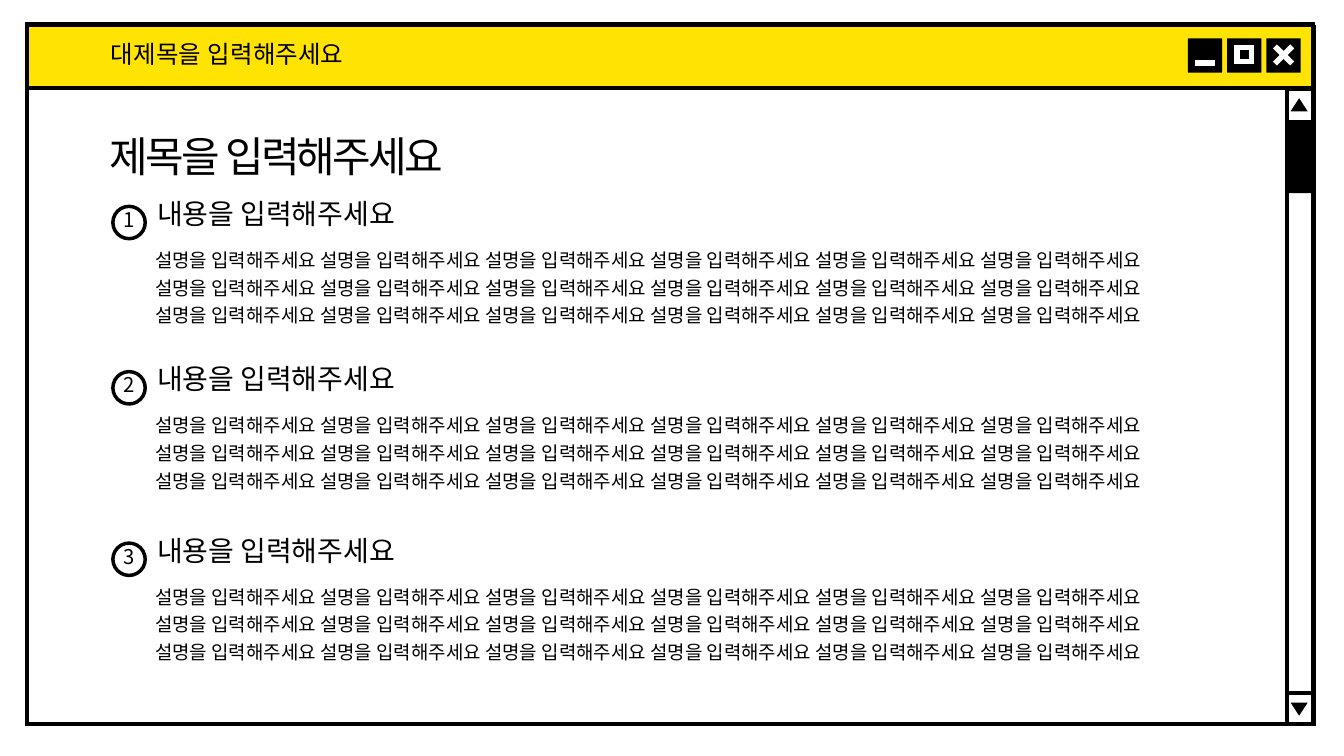
from lxml import etree
from pptx import Presentation
from pptx.dml.color import RGBColor
from pptx.enum import shapes, text
from pptx.oxml.ns import qn
from pptx.util import Cm, Pt

BLACK, WHITE, YELLOW = "000000", "FFFFFF", "FFE302"
SANS = "Noto Sans CJK KR"
RECT, OVAL = shapes.MSO_SHAPE.RECTANGLE, shapes.MSO_SHAPE.OVAL

TRACK_X, TRACK_W = 64.85, 1.37
BUTTON_X, BUTTON_Y, BUTTON_SIZE, BUTTON_STEP = 59.87, 1.93, 1.73, 1.98
ITEM_TOPS = (9.93, 18.26, 26.9)
BODY = [" ".join(["설명을 입력해주세요"] * 6)] * 3


def rgb(color):
    return RGBColor.from_string(color)


def style_line(line, color, width):
    line.color.rgb = rgb(color)
    line.width = Pt(width)


def add_box(slide, kind, x, y, w, h, fill=None, line=None, width=6):
    sp = slide.shapes.add_shape(kind, Cm(x), Cm(y), Cm(w), Cm(h))
    sp.shadow.inherit = False
    if fill:
        sp.fill.solid()
        sp.fill.fore_color.rgb = rgb(fill)
    else:
        sp.fill.background()
    if line:
        style_line(sp.line, line, width)
        # Sharp corners
        ln = sp.line._get_or_add_ln()
        etree.SubElement(ln, qn("a:miter")).set("lim", "800000")
    else:
        sp.line.fill.background()
    return sp


def add_line(slide, x1, y1, x2, y2, color=BLACK, width=6):
    line = slide.shapes.add_connector(
        shapes.MSO_CONNECTOR.STRAIGHT, Cm(x1), Cm(y1), Cm(x2), Cm(y2))
    style_line(line.line, color, width)
    etree.SubElement(line._element.spPr, qn("a:effectLst"))


def add_arrowhead(slide, tip_y, base_y):
    left, middle, right = 65.05, 65.48, 65.91
    builder = slide.shapes.build_freeform(Cm(middle), Cm(tip_y))
    builder.add_line_segments(
        [(Cm(right), Cm(base_y)), (Cm(left), Cm(base_y))], close=True)
    sp = builder.convert_to_shape()
    sp.shadow.inherit = False
    sp.fill.solid()
    sp.fill.fore_color.rgb = rgb(BLACK)
    sp.line.fill.background()


def add_text(slide, x, y, w, h, lines, size, font=SANS, spacing=0.6,
             before=32, align=None, tracking=None):
    box = slide.shapes.add_textbox(Cm(x), Cm(y), Cm(w), Cm(h))
    tf = box.text_frame
    tf.text = "\n".join(lines)
    tf.word_wrap = True
    tf.vertical_anchor = text.MSO_ANCHOR.MIDDLE
    tf.margin_left = tf.margin_right = Cm(0.15)
    tf.margin_top = tf.margin_bottom = Cm(0.15)
    for p in tf.paragraphs:
        p.line_spacing = spacing
        p.space_before = Pt(before)
        p.alignment = align
        for r in p.runs:
            r.font.size = Pt(size)
            r.font.name = font
            r.font.color.rgb = rgb(BLACK)
            # Hangul takes its font from the East Asian slot
            r_pr = r.font._element
            etree.SubElement(r_pr, qn("a:ea")).set("typeface", font)
            if tracking:
                r_pr.set("spc", str(tracking))
    return tf


def add_window_buttons(slide):
    xs = [BUTTON_X + i * BUTTON_STEP for i in range(3)]
    for x in xs:
        add_box(slide, RECT, x, BUTTON_Y, BUTTON_SIZE, BUTTON_SIZE, BLACK)
    minimize, maximize, close = xs
    add_line(slide, minimize + 0.35, 3.18, minimize + 1.37, 3.18, WHITE, 8)
    add_box(slide, RECT, maximize + 0.51, 2.39, 0.71, 0.71, BLACK, WHITE, 8)
    for y1, y2 in ((3.2, 2.34), (2.34, 3.2)):
        add_line(slide, close + 0.43, y1, close + 1.3, y2, WHITE, 8)


def add_scrollbar(slide):
    right = TRACK_X + TRACK_W
    add_box(slide, RECT, TRACK_X, 4.47, TRACK_W, 32.03, line=BLACK)
    add_line(slide, TRACK_X, 6.15, right, 6.15)
    add_line(slide, TRACK_X, 34.93, right, 34.93)
    add_arrowhead(slide, 4.95, 5.61)
    add_arrowhead(slide, 36.07, 35.41)
    add_box(slide, RECT, TRACK_X, 6.2, TRACK_W, 3.53, BLACK)


def add_item(slide, number, top):
    add_text(slide, 7.77, top, 12.4, 2.18, ["내용을 입력해주세요"], 40)
    add_box(slide, OVAL, 5.69, top + 0.47, 1.63, 1.63, WHITE, BLACK, 5)
    add_text(slide, 5.97, top + 0.32, 1.07, 1.78, [str(number)], 29,
             spacing=0.9, align=text.PP_ALIGN.CENTER)
    tf = add_text(slide, 7.67, top + 2.34, 50.19, 4.8, BODY, 27, before=20)
    tf.word_wrap = False
    tf.auto_size = text.MSO_AUTO_SIZE.SHAPE_TO_FIT_TEXT


def main():
    prs = Presentation()
    prs.slide_width, prs.slide_height = Cm(67.74), Cm(38.1)
    slide = prs.slides.add_slide(prs.slide_layouts[6])

    # Window frame and title bar
    add_box(slide, RECT, 1.35, 1.35, 64.85, 35.13, line=BLACK)
    add_box(slide, RECT, 1.37, 1.24, 64.82, 3.18, YELLOW, BLACK)
    add_text(slide, 5.44, 1.98, 15.27, 1.85, ["대제목을 입력해주세요"], 35,
             "Arial", spacing=0.7)
    add_window_buttons(slide)
    add_scrollbar(slide)

    # Heading and numbered items
    add_text(slide, 5.38, 6.35, 34.8, 3.33, ["제목을 입력해주세요"], 60,
             "Arial", spacing=0.9, tracking=-420)
    for number, top in enumerate(ITEM_TOPS, 1):
        add_item(slide, number, top)

    prs.save("out.pptx")


if __name__ == "__main__":
    main()
